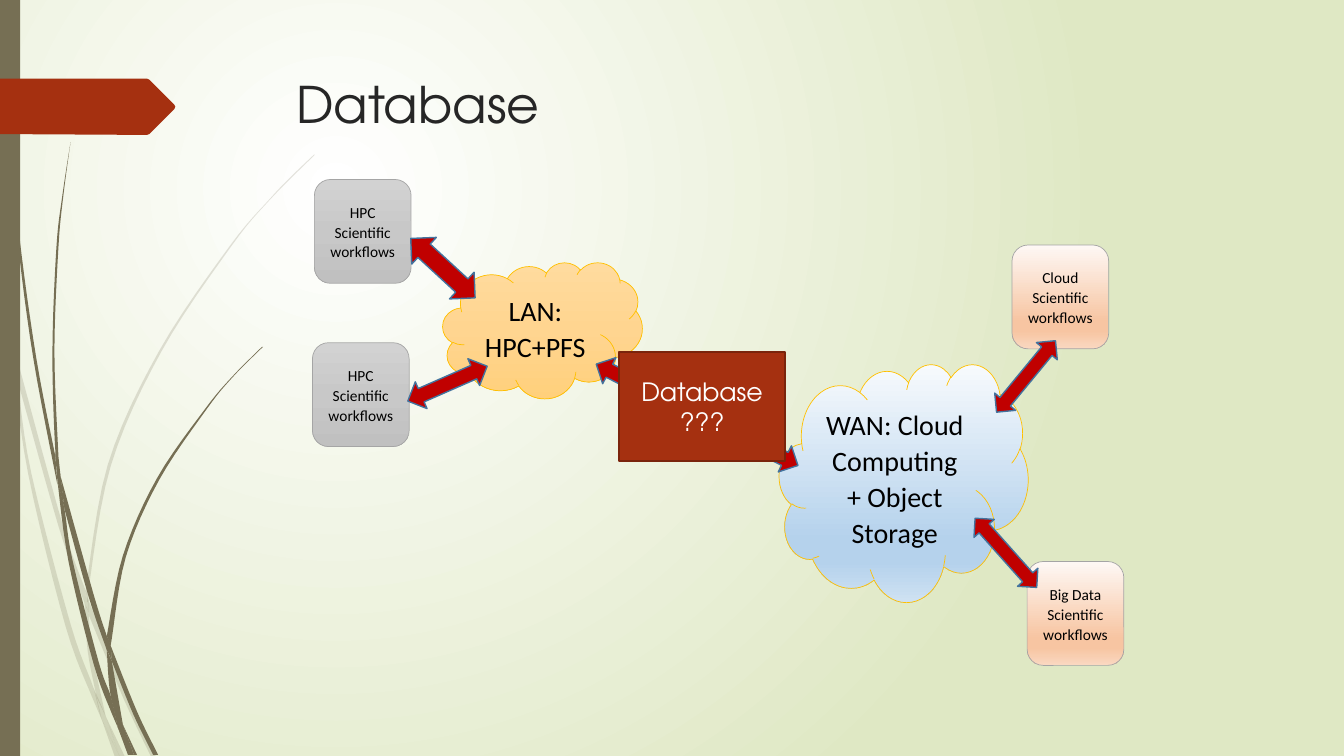
from collections import namedtuple
from lxml import etree
from pptx import Presentation
from pptx import util as u
from pptx.dml.color import RGBColor
from pptx.enum import shapes, text
from pptx.oxml import ns

Theme = namedtuple("Theme", "head body h1 h2 h3 small ink black white olive red red_line "
                            "arrow arrow_line gold grey page lan wan hpc cloud")
T = Theme(
    head="TeX Gyre Adventor", body="Calibri", h1=36, h2=20, h3=18, small=11,
    ink="262626", black="000000", white="FFFFFF", olive="766F54", red="A53010",
    red_line="7A240C", arrow="C00000", arrow_line="43739E", gold="FFC000", grey="A5A5A5",
    page=[(0, "FFFFFF"), (100, "DFE8C4")],
    lan=[(0, "FFDB9E"), (50, "FFD590"), (100, "FFD07C")],
    wan=[(0, "F7FAFD"), (74, "B5D2EC"), (83, "B5D2EC"), (100, "CEE1F2")],
    hpc=[(0, "D2D2D2"), (50, "C8C8C8"), (100, "C0C0C0")],
    cloud=[(0, "FEF8F5"), (74, "F7C5A2"), (83, "F7C5A2"), (100, "FAD8C1")])
G = shapes.MSO_SHAPE

# Grass blades: the two sides of each leaf, in hundredths of an inch
FAINT = [
    ([(0, 282), (9, 322), (11, 350)], [(10, 344), (0, 299)]),
    ([(14, 345), (62, 520), (85, 586)], [(84, 599), (58, 522), (17, 376)]),
    ([(88, 596), (127, 692), (155, 751)], [(150, 751), (123, 694), (88, 610)]),
    ([(105, 711), (124, 751)], [(119, 751)]),
    ([(11, 350), (17, 376), (31, 469), (70, 619), (93, 683), (101, 714)],
     [(92, 693), (65, 621), (28, 470), (11, 350)]),
    ([(84, 599), (88, 610), (91, 646), (105, 711)], [(96, 692), (87, 646), (84, 599)]),
    ([(312, 153), (289, 175), (268, 197), (228, 244), (158, 348), (107, 461), (85, 586)],
     [(88, 596), (88, 584), (110, 462), (160, 349), (229, 245), (268, 198), (312, 154)]),
    ([(101, 714), (114, 751)], [(119, 751)]),
    ([(85, 586), (88, 596), (88, 610)], [(88, 608), (84, 599)]),
    ([(93, 683), (105, 711), (119, 751)], [(101, 714), (99, 707)]),
]
DARK = [
    ([(3, 0), (4, 48), (7, 110), (17, 233), (33, 355), (57, 481)],
     [(55, 453), (36, 355), (19, 232), (8, 109), (5, 48), (4, 0)]),
    ([(60, 472), (93, 590), (106, 631)], [(106, 645), (88, 592), (64, 505)]),
    ([(110, 641), (136, 706), (157, 749)], [(152, 749), (132, 708), (111, 656)]),
    ([(57, 477), (64, 505), (72, 556), (98, 657), (110, 691), (117, 722)],
     [(111, 708), (93, 659), (68, 557), (57, 477)]),
    ([(70, 141), (62, 193), (56, 245), (52, 349), (55, 449), (60, 472)],
     [(58, 453), (54, 349), (58, 245), (63, 193), (70, 141)]),
    ([(122, 719), (136, 749)], [(133, 749)]),
    ([(55, 449), (60, 472), (64, 505)], [(57, 477), (55, 453)]),
    ([(260, 344), (231, 373), (204, 405), (156, 474), (122, 551), (106, 631)],
     [(110, 641), (111, 633), (125, 552), (158, 476), (205, 406), (231, 374), (261, 344)]),
    ([(117, 722), (127, 749)], [(131, 749)]),
    ([(106, 645), (110, 691), (122, 719)], [(111, 656), (106, 645)]),
    ([(106, 631), (110, 641), (111, 656)], [(109, 651), (106, 645)]),
    ([(110, 691), (122, 719), (133, 749)], [(130, 749), (117, 722)]),
]


def rgb(c):
    return RGBColor.from_string(c)


def set_gradient(fill, element, stops, radial=False):
    fill.gradient()
    grad = next(element.iter(ns.qn("a:gradFill")))
    for child in list(grad):
        grad.remove(child)
    gs_list = etree.SubElement(grad, ns.qn("a:gsLst"))
    for pos, c in stops:
        gs = etree.SubElement(gs_list, ns.qn("a:gs"), pos=str(pos * 1000))
        etree.SubElement(gs, ns.qn("a:srgbClr"), val=c)
    if radial:
        circle = etree.SubElement(grad, ns.qn("a:path"), path="circle")
        etree.SubElement(circle, ns.qn("a:fillToRect"),
                         l="50000", t="50000", r="100000", b="100000")
    else:
        etree.SubElement(grad, ns.qn("a:lin"), ang="5400000", scaled="0")


def style(sp, fill, line=None, width=0.5, alpha=None):
    sp.shadow.inherit = False
    if isinstance(fill, list):
        set_gradient(sp.fill, sp.element, fill)
    else:
        sp.fill.solid()
        sp.fill.fore_color.rgb = rgb(fill)
    if alpha:
        clr = next(sp.element.iter(ns.qn("a:srgbClr")))
        etree.SubElement(clr, ns.qn("a:alpha"), val=str(alpha * 1000))
    if line:
        sp.line.color.rgb = rgb(line)
        sp.line.width = u.Pt(width)
    else:
        sp.line.fill.background()


def write(sp, words, size, color=T.black, font=T.body, align="CENTER", anchor="MIDDLE",
          spacing=None, after=None):
    tf = sp.text_frame
    tf.word_wrap = True
    tf.vertical_anchor = getattr(text.MSO_ANCHOR, anchor)
    p = tf.paragraphs[0]
    p.text = words
    p.alignment = getattr(text.PP_ALIGN, align)
    if spacing:
        p.line_spacing = spacing
    if after:
        p.space_after = u.Pt(after)
    for r in p.runs:
        r.font.size, r.font.name = u.Pt(size), font
        r.font.color.rgb = rgb(color)


def place(parent, kind, x, y, w, h, *look, **kw):
    sp = parent.add_shape(kind, u.Pt(x), u.Pt(y), u.Pt(w), u.Pt(h))
    style(sp, *look, **kw)
    return sp


def outline(parent, points, fill, alpha=None):
    pts = [(u.Pt(x), u.Pt(y)) for x, y in points]
    fb = parent.build_freeform(*pts[0], scale=1.0)
    fb.add_line_segments(pts[1:], close=True)
    style(fb.convert_to_shape(), fill, alpha=alpha)


def smooth(pts, steps=6):
    """Catmull-Rom curve through the points."""
    ext = [pts[0], *pts, pts[-1]]
    curve = [pts[0]]
    for a, b, c, d in zip(ext, ext[1:], ext[2:], ext[3:]):
        for t in (i / steps for i in range(1, steps + 1)):
            curve.append(tuple(
                (2 * q + (r - p) * t + (2 * p - 5 * q + 4 * r - v) * t ** 2
                 + (3 * q - p - 3 * r + v) * t ** 3) / 2 for p, q, r, v in zip(a, b, c, d)))
    return curve


def side_decor(s, x, y, w, h):
    # Grass
    for blades, alpha in ((FAINT, 20), (DARK, None)):
        group = s.shapes.add_group_shape().shapes
        for left, right in blades:
            edge = smooth(left) + smooth(right)
            outline(group, [(x + a * 0.72, y + b * 0.72) for a, b in edge], T.olive, alpha)
    # Edge bar and tag
    place(s.shapes, G.RECTANGLE, x, y, w, h, T.olive)
    tag = [(0, 56.2), (105, 56.2), (106.6, 56.9), (124.6, 74.9), (125.2, 76.3),
           (124.6, 77.8), (106.6, 95.8), (105, 96.4), (0, 95.8)]
    outline(s.shapes, [(x + a, y + b) for a, b in tag], T.red)


def title(s, x, y, w, h):
    sp = s.shapes.add_textbox(u.Pt(x), u.Pt(y), u.Pt(w), u.Pt(h))
    write(sp, "Database", T.h1, T.ink, T.head, "LEFT", "TOP")


def network(s, x, y):
    group = s.shapes.add_group_shape().shapes
    # Networks and workflows
    card = (69.1, 74.2)
    nodes = [
        (G.CLOUD, 93, 59.2, 142.6, 97.2, T.lan, T.gold, T.h2, "LAN: HPC+PFS"),
        (G.CLOUD, 333.4, 131.8, 177.8, 169.9, T.wan, T.gold, T.h2,
         "WAN: Cloud Computing + Object Storage"),
    ] + [(G.ROUNDED_RECTANGLE, dx, dy, *card, fill, T.grey, T.small,
          owner + " Scientific workflows") for dx, dy, fill, owner in (
        (1.4, 0, T.hpc, "HPC"), (0, 116.6, T.hpc, "HPC"),
        (510.5, 272.9, T.cloud, "Big Data"), (499.7, 46.8, T.cloud, "Cloud"))]
    for kind, dx, dy, w, h, fill, line, size, words in nodes:
        sp = place(group, kind, x + dx, y + dy, w, h, fill, line)
        write(sp, words, size, spacing=1.07, after=8)
    # Two-way arrows
    for dx, dy, w, h, turn in (
            (199.4, 135.4, 61.9, 20.9, 26.8), (61.9, 50.4, 62.6, 25.9, 42.7),
            (65.5, 135.4, 61.9, 20.9, 336.3), (462.2, 257, 66.2, 19.4, 48.3),
            (291.6, 180.7, 58.3, 20.9, 26.8), (476.6, 131, 66.2, 19.4, 309.5)):
        sp = place(group, G.LEFT_RIGHT_ARROW, x + dx, y + dy, w, h, T.arrow, T.arrow_line, 1)
        sp.rotation = turn
    # Database between the networks
    sp = place(s.shapes, G.RECTANGLE, x + 218.9, y + 123.1, 118.8, 77.8, T.red, T.red_line, 1.25)
    write(sp, "Database\n???", T.h3, T.white, T.head)


prs = Presentation()
prs.slide_width, prs.slide_height = u.Pt(960), u.Pt(540)
s = prs.slides.add_slide(prs.slide_layouts[6])
set_gradient(s.background.fill, s.element, T.page, radial=True)
side_decor(s, 0, 0, 14.4, 540)
title(s, 204.5, 49, 702, 100.8)
network(s, 223.2, 128.2)
prs.save("out.pptx")
